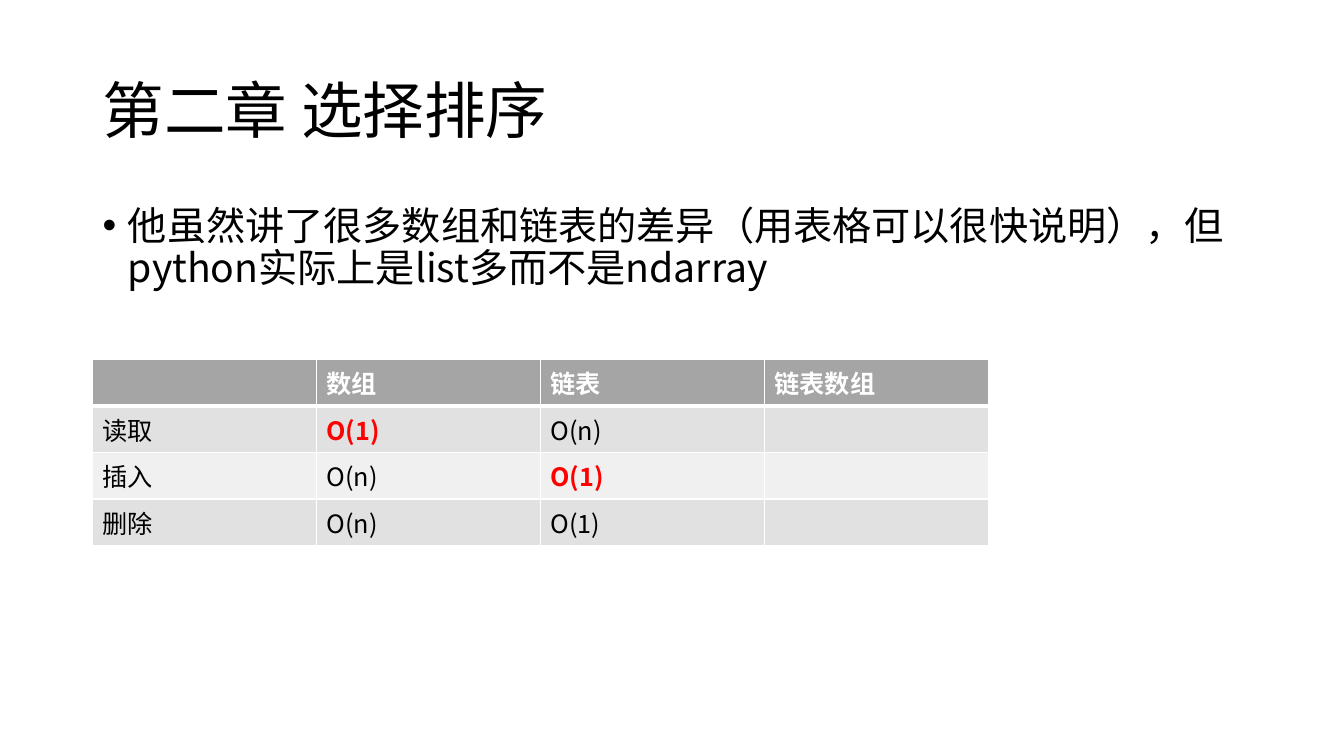
import pptx
import pptx.util
import pptx.dml.color
import pptx.enum.text
import pptx.oxml
import pptx.oxml.ns
from lxml import etree

Cm = pptx.util.Cm
Pt = pptx.util.Pt
qn = pptx.oxml.ns.qn


def color(code):
    return pptx.dml.color.RGBColor.from_string(code)


class Deck:
    face = "Noto Sans CJK SC"
    black, white, red = "000000", "FFFFFF", "FF0000"
    head, bands = "A5A5A5", ("E1E1E1", "F0F0F0")

    def __init__(self):
        self.file = pptx.Presentation()
        self.file.slide_width = Cm(33.87)
        self.file.slide_height = Cm(19.05)
        self.slide = self.file.slides.add_slide(self.file.slide_layouts[1])

    def style(self, para, size, code, bold=False):
        font = para.font
        font.name, font.size, font.bold = self.face, Pt(size), bold
        font.color.rgb = color(code)
        east = etree.SubElement(font._element, qn("a:ea"))
        east.set("typeface", self.face)

    def fill(self, holder, text, box, size, anchor):
        """Move a placeholder, set its text and return the paragraph."""
        holder.left, holder.top, holder.width, holder.height = map(Cm, box)
        frame = holder.text_frame
        frame.text = text
        frame.word_wrap = True
        frame.auto_size = pptx.enum.text.MSO_AUTO_SIZE.NONE
        frame.vertical_anchor = anchor
        para = frame.paragraphs[0]
        para.alignment = pptx.enum.text.PP_ALIGN.LEFT
        para.line_spacing = 0.9
        self.style(para, size, self.black)
        return para

    def title(self, text, box):
        self.fill(self.slide.shapes.title, text, box, 44,
                  pptx.enum.text.MSO_ANCHOR.MIDDLE)

    def body(self, text, box):
        para = self.fill(self.slide.placeholders[1], text, box, 28,
                         pptx.enum.text.MSO_ANCHOR.TOP)
        para.space_before = Pt(10)
        props = para._p.get_or_add_pPr()
        props.set("marL", str(Cm(0.64)))
        props.set("indent", str(-Cm(0.64)))

    def edge(self, cell, side, width):
        line = etree.SubElement(cell._tc.get_or_add_tcPr(), qn("a:" + side))
        line.set("w", str(Pt(width)))
        solid = etree.SubElement(line, qn("a:solidFill"))
        etree.SubElement(solid, qn("a:srgbClr")).set("val", self.white)

    def table(self, rows, best, box):
        """Draw a table; cells whose (row, column) is in best turn bold red."""
        grid = self.slide.shapes.add_table(
            len(rows), len(rows[0]), *map(Cm, box)).table
        grid.horz_banding = False
        for r, row in enumerate(rows):
            for c, text in enumerate(row):
                cell = grid.cell(r, c)
                for side in ("lnL", "lnR", "lnT", "lnB"):
                    thick = (r, side) in ((0, "lnB"), (1, "lnT"))
                    self.edge(cell, side, 3 if thick else 1)
                cell.fill.solid()
                cell.fill.fore_color.rgb = color(
                    self.bands[(r - 1) % 2] if r else self.head)
                cell.text = text
                top = r == 0
                mark = (r, c) in best
                code = self.white if top else self.red if mark else self.black
                self.style(cell.text_frame.paragraphs[0], 18, code, top or mark)


def main():
    deck = Deck()
    deck.title("第二章 选择排序", (2.33, 1.01, 29.21, 3.68))
    deck.body("他虽然讲了很多数组和链表的差异（用表格可以很快说明），"
              "但python实际上是list多而不是ndarray",
              (2.33, 5.07, 29.21, 12.09))
    rows = [
        ("", "数组", "链表", "链表数组"),
        ("读取", "O(1)", "O(n)", ""),
        ("插入", "O(n)", "O(1)", ""),
        ("删除", "O(n)", "O(1)", ""),
    ]
    deck.table(rows, {(1, 1), (2, 2)}, (2.33, 9.05, 22.58, 4.12))
    deck.file.save("out.pptx")


if __name__ == "__main__":
    main()
